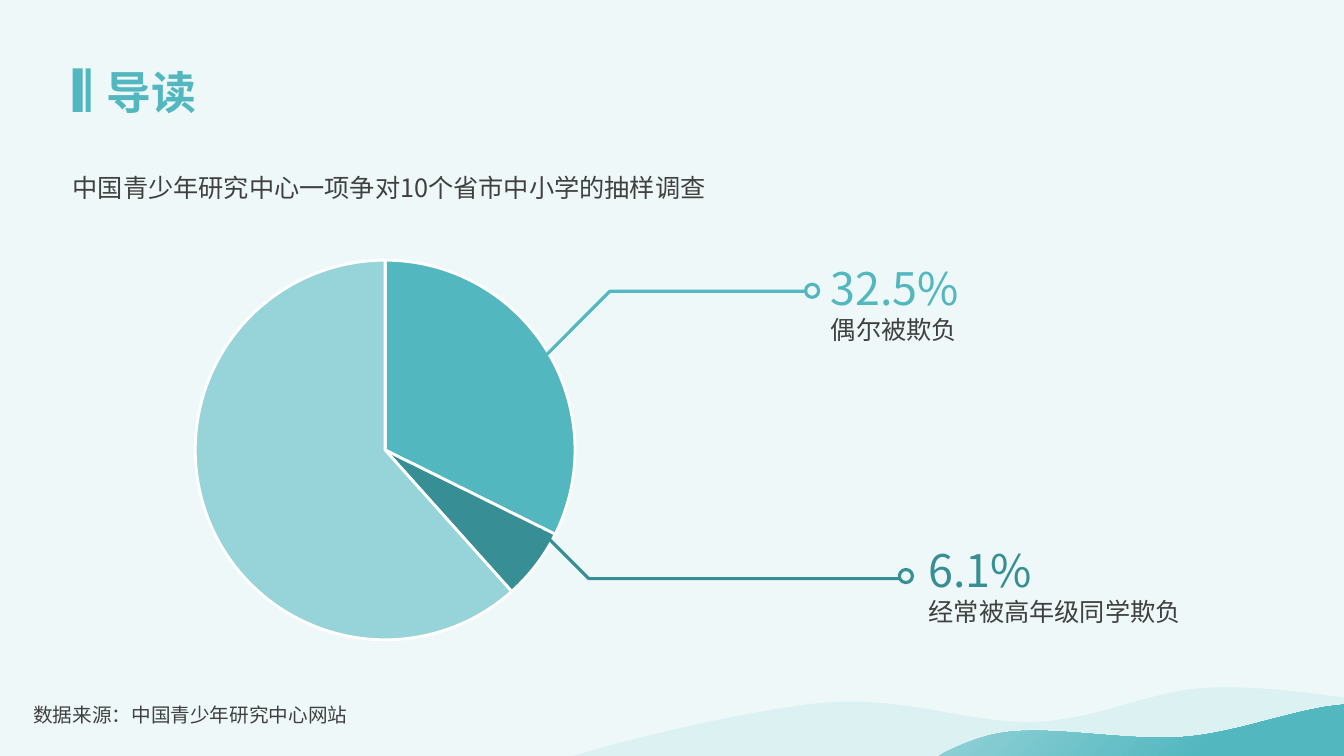
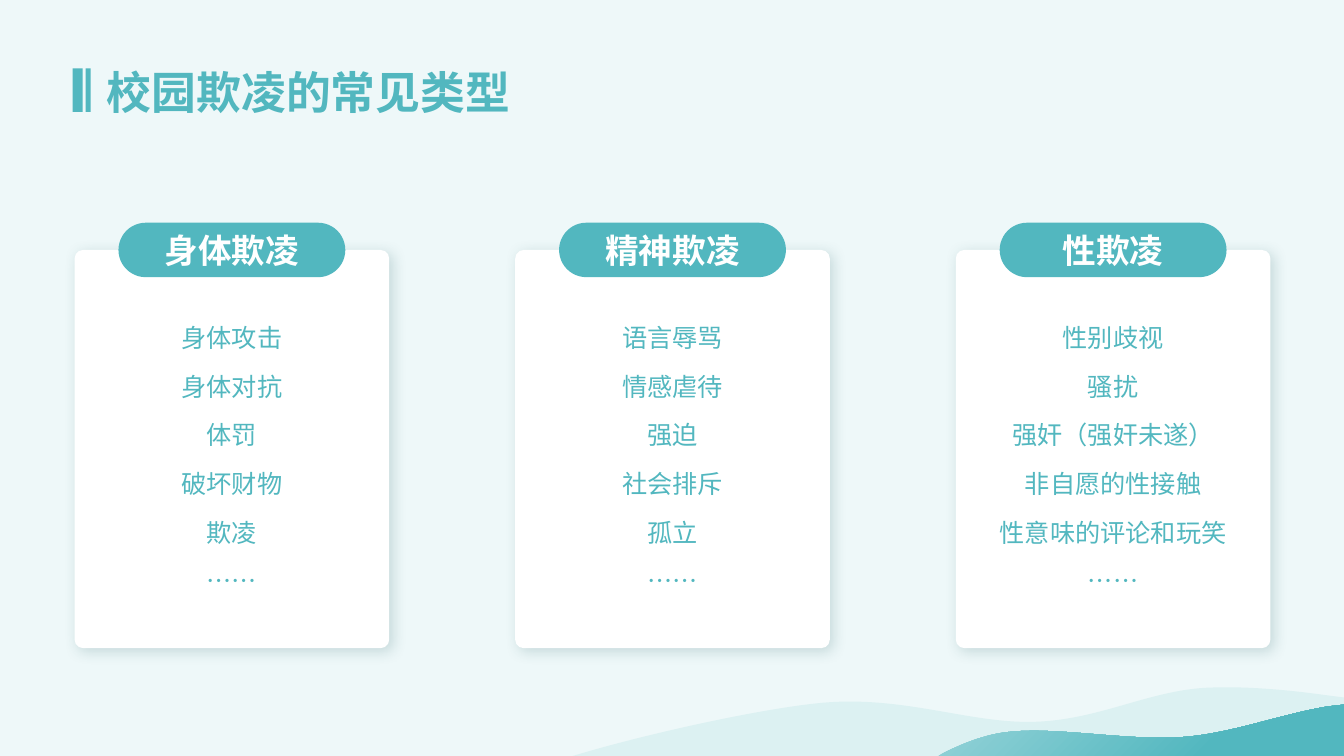
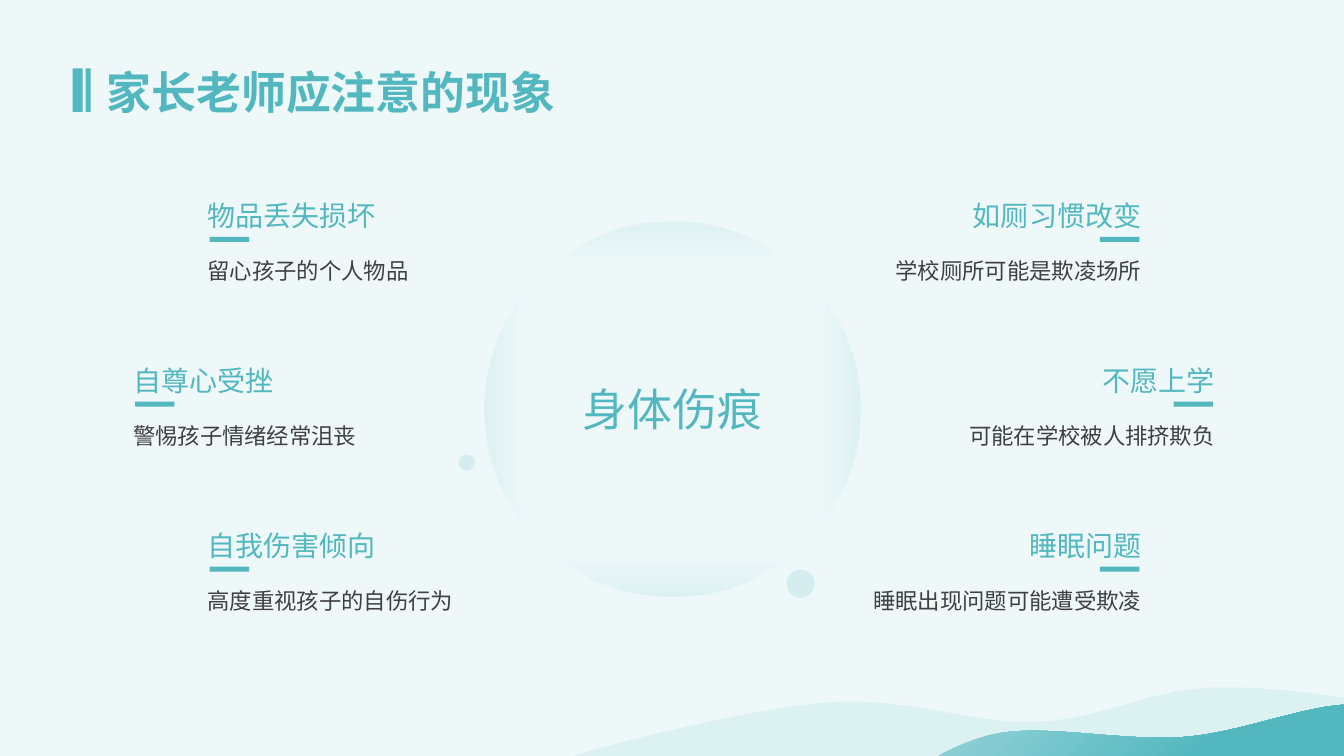
from dataclasses import dataclass

import pptx
import pptx.chart.data
import pptx.dml.color
import pptx.enum.chart
import pptx.enum.shapes
import pptx.enum.text
import pptx.oxml
import pptx.oxml.ns
import pptx.util

Inches, Pt = pptx.util.Inches, pptx.util.Pt
SHAPE = pptx.enum.shapes.MSO_SHAPE
ALIGN = pptx.enum.text.PP_ALIGN
ANCHOR = pptx.enum.text.MSO_ANCHOR
qn = pptx.oxml.ns.qn


@dataclass(frozen=True)
class Theme:
    font: str = "Noto Sans CJK SC"
    background: str = "EEF8F9"
    teal: str = "52B7BF"
    dark_teal: str = "378F95"
    light_teal: str = "97D4D9"
    gray: str = "9B9B9B"
    pale_wave: str = "DCF1F2"
    bubble: str = "D4EDEF"
    text: str = "404040"
    white: str = "FFFFFF"
    shadow: str = "255F64"
    display: int = 32
    label: int = 24
    heading: int = 20
    body: int = 18
    detail: int = 16
    source: int = 14


THEME = Theme()

# Content
SURVEY = {
    "title": "导读",
    "intro": "中国青少年研究中心一项争对10个省市中小学的抽样调查",
    "source": "数据来源：中国青少年研究中心网站",
    "slices": [("1", 32, THEME.teal), ("2", 6, THEME.dark_teal),
               ("3", 61, THEME.light_teal), ("4", None, THEME.gray)],
    "callouts": [
        {"value": "32.5%", "label": "偶尔被欺负", "color": THEME.teal, "at": (8.24, 2.32),
         "leader": [(5.35, 3.59), (6.05, 2.89), (7.98, 2.89)], "dot": (7.99, 2.82)},
        {"value": "6.1%", "label": "经常被高年级同学欺负", "color": THEME.dark_teal, "at": (9.21, 5.12),
         "leader": [(5.35, 5.25), (5.84, 5.74), (8.93, 5.74)], "dot": (8.92, 5.65)},
    ],
}
TYPES_TITLE = "校园欺凌的常见类型"
TYPES = [
    ("身体欺凌", ["身体攻击", "身体对抗", "体罚", "破坏财物", "欺凌", "……"]),
    ("精神欺凌", ["语言辱骂", "情感虐待", "强迫", "社会排斥", "孤立", "……"]),
    ("性欺凌", ["性别歧视", "骚扰", "强奸（强奸未遂）", "非自愿的性接触", "性意味的评论和玩笑", "……"]),
]
SIGNS_TITLE = "家长老师应注意的现象"
SIGNS_CENTER = "身体伤痕"
SIGNS_LEFT = [("物品丢失损坏", "留心孩子的个人物品"),
              ("自尊心受挫", "警惕孩子情绪经常沮丧"),
              ("自我伤害倾向", "高度重视孩子的自伤行为")]
SIGNS_RIGHT = [("如厕习惯改变", "学校厕所可能是欺凌场所"),
               ("不愿上学", "可能在学校被人排挤欺负"),
               ("睡眠问题", "睡眠出现问题可能遭受欺凌")]

# Wave outlines: two numbers are a straight step, six a Bézier curve
BACK_WAVE = [(12.04, 6.82), (12.35, 6.81, 12.74, 6.84, 13.1, 6.89), (13.33, 6.92), (13.33, 7.5),
             (5.68, 7.5), (5.85, 7.45), (6.55, 7.25, 7.53, 7.04, 8.08, 6.98),
             (8.94, 6.88, 9.62, 7.19, 10.29, 7.16), (10.95, 7.13, 11.43, 6.83, 12.04, 6.82)]
FRONT_WAVE = [(13.33, 6.99), (13.33, 7.5), (9.31, 7.5), (9.36, 7.47),
              (9.52, 7.39, 9.69, 7.32, 9.88, 7.28), (10.38, 7.18, 11.14, 7.36, 11.76, 7.31),
              (12.23, 7.27, 12.69, 7.09, 13.16, 7.01)]


# Helpers
def rgb(color):
    return pptx.dml.color.RGBColor.from_string(color)


def xml(source):
    """Read an XML fragment whose root opens with the {ns} declarations."""
    return pptx.oxml.parse_xml(source.replace("{ns}", pptx.oxml.ns.nsdecls("a", "c")))


def write(frame, *lines, size=THEME.body, color=THEME.text, bold=False,
          align=ALIGN.LEFT, anchor=ANCHOR.TOP, spacing=None, gap=0, inset=0):
    frame.word_wrap = True
    frame.auto_size = pptx.enum.text.MSO_AUTO_SIZE.NONE
    frame.vertical_anchor = anchor
    frame.margin_left = frame.margin_right = frame.margin_top = frame.margin_bottom = Inches(inset)
    for index, line in enumerate(lines):
        paragraph = frame.add_paragraph() if index else frame.paragraphs[0]
        paragraph.alignment = align
        paragraph.line_spacing = spacing
        if index:
            paragraph.space_before = Pt(gap)
        run = paragraph.add_run()
        run.text = line
        font = run.font
        font.name, font.size, font.bold = THEME.font, Pt(size), bold
        font.color.rgb = rgb(color)
        run._r.get_or_add_rPr().find(qn("a:latin")).addnext(
            xml(f'<a:ea {{ns}} typeface="{THEME.font}"/>'))


def add_text(slide, box, *lines, **text_format):
    textbox = slide.shapes.add_textbox(*map(Inches, box))
    write(textbox.text_frame, *lines, **text_format)


def paint(shape, fill=None, line=None, width=2.25):
    shape.shadow.inherit = False
    if fill:
        shape.fill.solid()
        shape.fill.fore_color.rgb = rgb(fill)
    else:
        shape.fill.background()
    if line:
        shape.line.color.rgb = rgb(line)
        shape.line.width = Pt(width)
    else:
        shape.line.fill.background()
    return shape


def add_shape(slide, kind, box, adjust=None, **colors):
    shape = slide.shapes.add_shape(kind, *map(Inches, box))
    if adjust is not None:
        shape.adjustments[0] = adjust
    return paint(shape, **colors)


def add_outline(slide, steps, close, **colors):
    start, *rest = [(Inches(step[-2]), Inches(step[-1])) for step in steps]
    builder = slide.shapes.build_freeform(*start)
    builder.add_line_segments(rest, close=close)
    shape = paint(builder.convert_to_shape(), **colors)
    # Turn the steps that carry control points into curves
    outline = next(shape._element.iter(qn("a:path")))
    for segment, step in zip(list(outline), steps):
        if len(step) == 6:
            points = "".join(
                f'<a:pt x="{Inches(x) - shape.left}" y="{Inches(y) - shape.top}"/>'
                for x, y in zip(step[::2], step[1::2]))
            outline.replace(segment, xml(f"<a:cubicBezTo {{ns}}>{points}</a:cubicBezTo>"))
    return shape


def set_gradient(shape, *stops):
    shape.fill.gradient()
    for stop, (position, color) in zip(shape.fill.gradient_stops, stops):
        stop.position = position
        stop.color.rgb = rgb(color)


# Shared look
def move_to_layout(layout, shapes):
    for index, shape in enumerate(shapes):
        shape._element.nvSpPr.cNvPr.set("id", str(100 + index))
        layout.shapes._spTree.insert(2 + index, shape._element)


def set_up_layout(prs, layout, slide):
    background = prs.slide_master.background.fill
    background.solid()
    background.fore_color.rgb = rgb(THEME.background)
    back_wave = add_outline(slide, BACK_WAVE, True, fill=THEME.pale_wave)
    bars = [add_shape(slide, SHAPE.RECTANGLE, (x, 0.68, width, 0.43), fill=THEME.teal)
            for x, width in ((0.72, 0.1), (0.85, 0.05))]
    front_wave = add_outline(slide, FRONT_WAVE, True)
    set_gradient(front_wave, (0, THEME.light_teal), (0.69, THEME.teal))
    front_wave.fill.gradient_angle = 315
    move_to_layout(layout, [back_wave, *bars, front_wave])


def set_title(slide, title):
    heading = slide.shapes.title
    heading.left, heading.top, heading.width, heading.height = map(Inches, (1.06, 0.64, 5.6, 0.54))
    write(heading.text_frame, title, size=THEME.display, color=THEME.teal, bold=True)


# Slide 1: survey pie with callouts
def add_survey_pie(slide):
    data = pptx.chart.data.CategoryChartData()
    data.categories = [name for name, _, _ in SURVEY["slices"]]
    data.add_series("Series 1", [value for _, value, _ in SURVEY["slices"]])
    pie = slide.shapes.add_chart(pptx.enum.chart.XL_CHART_TYPE.PIE,
                                 *map(Inches, (1.8, 2.3, 4.04, 4.33)), data).chart
    pie.has_title = pie.has_legend = False
    pie.font.name, pie.font.size = "Arial", Pt(10)
    pie.plots[0].vary_by_categories = True
    for index, (_, _, color) in enumerate(SURVEY["slices"]):
        slice_format = pie.plots[0].series[0].points[index].format
        slice_format.fill.solid()
        slice_format.fill.fore_color.rgb = rgb(color)
        slice_format.line.color.rgb = rgb(THEME.white)
        slice_format.line.width = Pt(2)
    # Fixed plot area
    plot_area = pie._chartSpace.chart.plotArea
    for layout in plot_area.findall(qn("c:layout")):
        plot_area.remove(layout)
    plot_area.insert(0, xml(
        '<c:layout {ns}><c:manualLayout><c:layoutTarget val="inner"/>'
        '<c:xMode val="edge"/><c:yMode val="edge"/><c:x val="0.033"/><c:y val="0.065"/>'
        '<c:w val="0.934"/><c:h val="0.87"/></c:manualLayout></c:layout>'))


def build_survey(slide):
    set_title(slide, SURVEY["title"])
    add_survey_pie(slide)
    add_text(slide, (0.72, 1.56, 8.05, 0.4), SURVEY["intro"], spacing=1.5)
    for callout in SURVEY["callouts"]:
        x, y = callout["at"]
        color = callout["color"]
        add_outline(slide, callout["leader"], False, line=color)
        add_shape(slide, SHAPE.OVAL, (*callout["dot"], 0.13, 0.13), line=color)
        add_text(slide, (x, y, 1.73, 0.71), callout["value"],
                 size=THEME.display, color=color, spacing=1.5)
        add_text(slide, (x, y + 0.65, 2.61, 0.4), callout["label"], spacing=1.5)
    add_text(slide, (0.33, 6.86, 4.16, 0.31), SURVEY["source"], size=THEME.source, spacing=1.5)


# Slide 2: three cards
def add_card_shadow(card):
    effects = card._element.spPr.find(qn("a:effectLst"))
    effects.append(xml(
        f'<a:outerShdw {{ns}} blurRad="{Pt(10)}" dist="{Pt(3)}" dir="2700000" algn="tl" '
        f'rotWithShape="0"><a:srgbClr val="{THEME.shadow}"><a:alpha val="20000"/>'
        '</a:srgbClr></a:outerShdw>'))


def build_types(slide):
    set_title(slide, TYPES_TITLE)
    card_width, pill_width, list_width = 3.12, 2.25, 2.96
    for index, (name, examples) in enumerate(TYPES):
        left = 0.74 + 4.37 * index
        center = left + card_width / 2
        card = add_shape(slide, SHAPE.ROUNDED_RECTANGLE, (left, 2.48, card_width, 3.95),
                         adjust=0.027, fill=THEME.white)
        add_card_shadow(card)
        pill = add_shape(slide, SHAPE.ROUNDED_RECTANGLE,
                         (center - pill_width / 2, 2.21, pill_width, 0.54),
                         adjust=0.5, fill=THEME.teal)
        write(pill.text_frame, name, size=THEME.label, color=THEME.white, bold=True,
              align=ALIGN.CENTER, anchor=ANCHOR.MIDDLE, inset=0.05)
        add_text(slide, (center - list_width / 2, 3.2, list_width, 2.71), *examples,
                 color=THEME.teal, align=ALIGN.CENTER, gap=13.1)


# Slide 3: warning signs around a ring
def add_ring(slide):
    ring = add_shape(slide, SHAPE.OVAL, (4.81, 2.2, 3.72, 3.72))
    set_gradient(ring, (0.78, THEME.teal), (0.99, THEME.teal))
    gradient = ring._element.spPr.find(qn("a:gradFill"))
    for color, alpha in zip(gradient.iter(qn("a:srgbClr")), (0, 10000)):
        color.append(xml(f'<a:alpha {{ns}} val="{alpha}"/>'))
    direction = gradient.find(qn("a:lin"))
    direction.addnext(xml('<a:path {ns} path="shape">'
                          '<a:fillToRect l="50000" t="50000" r="50000" b="50000"/></a:path>'))
    gradient.remove(direction)


def build_signs(slide):
    set_title(slide, SIGNS_TITLE)
    add_ring(slide)
    width = 2.83
    sides = [(SIGNS_LEFT, 2.06, -0.74, 0.02, ALIGN.LEFT),
             (SIGNS_RIGHT, 8.49, 0.73, width - 0.41, ALIGN.RIGHT)]
    for signs, edge, middle_shift, bar_offset, align in sides:
        for row, (heading, detail) in enumerate(signs):
            x = edge + (middle_shift if row == 1 else 0)
            y = 1.97 + 1.635 * row
            add_text(slide, (x, y, width, 0.34), heading,
                     size=THEME.heading, color=THEME.teal, align=align)
            add_shape(slide, SHAPE.RECTANGLE, (x + bar_offset, y + 0.38, 0.39, 0.05), fill=THEME.teal)
            add_text(slide, (x, y + 0.45, width, 0.36), detail,
                     size=THEME.detail, align=align, spacing=1.5)
    add_text(slide, (5.57, 3.79, 2.2, 0.54), SIGNS_CENTER,
             size=THEME.display, color=THEME.teal, align=ALIGN.CENTER)
    for x, y, diameter in ((4.55, 4.51, 0.16), (7.8, 5.65, 0.28)):
        add_shape(slide, SHAPE.OVAL, (x, y, diameter, diameter), fill=THEME.bubble)


def main():
    prs = pptx.Presentation()
    prs.slide_width, prs.slide_height = Inches(13.33), Inches(7.5)
    title_only = prs.slide_layouts[5]
    builders = (build_survey, build_types, build_signs)
    slides = [prs.slides.add_slide(title_only) for _ in builders]
    set_up_layout(prs, title_only, slides[0])
    for build, slide in zip(builders, slides):
        build(slide)
    prs.save("out.pptx")


if __name__ == "__main__":
    main()
